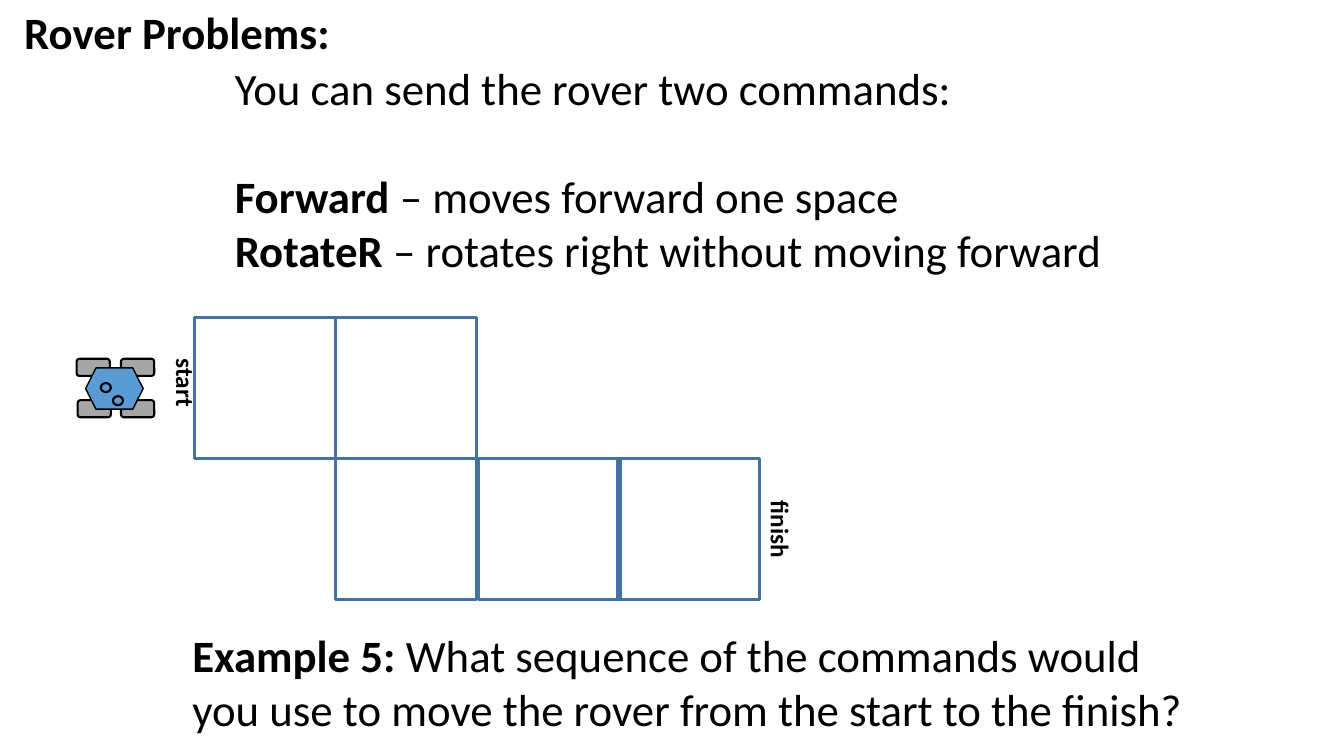
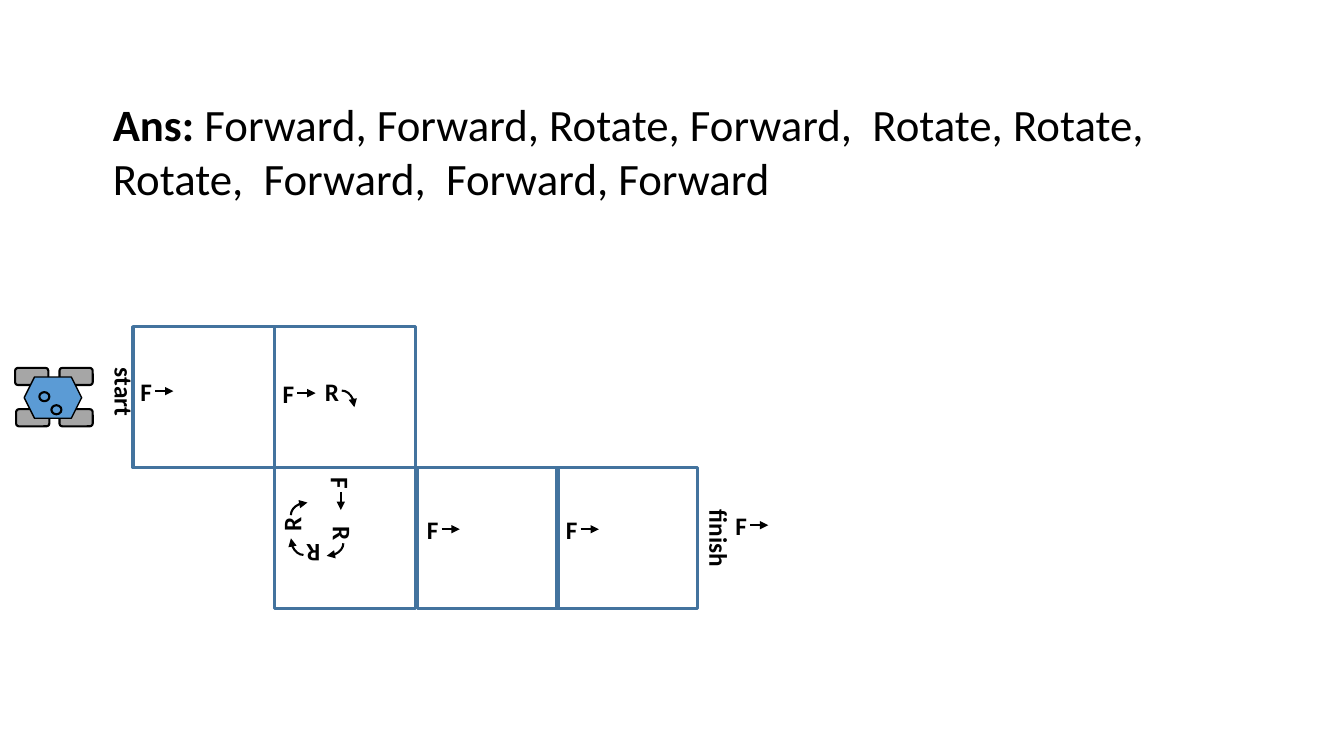
from dataclasses import dataclass

from lxml import etree
from pptx import Presentation
from pptx.dml.color import RGBColor
from pptx.enum.shapes import MSO_CONNECTOR, MSO_SHAPE
from pptx.enum.text import MSO_ANCHOR, MSO_AUTO_SIZE, PP_ALIGN
from pptx.oxml.ns import qn
from pptx.util import Emu, Pt

PX = 9144  # 100 px to the inch
TITLE_ONLY, BLANK = 5, 6
RECT, ROUND_RECT = MSO_SHAPE.RECTANGLE, MSO_SHAPE.ROUNDED_RECTANGLE
HEXAGON, OVAL, ARC = MSO_SHAPE.HEXAGON, MSO_SHAPE.OVAL, MSO_SHAPE.ARC
STRAIGHT = MSO_CONNECTOR.STRAIGHT
TOP, LEFT = MSO_ANCHOR.TOP, PP_ALIGN.LEFT
NO_AUTOSIZE = MSO_AUTO_SIZE.NONE


@dataclass(frozen=True)
class Theme:
    font: str = "Calibri"
    ink: RGBColor = RGBColor(0x00, 0x00, 0x00)
    grid: RGBColor = RGBColor(0x43, 0x73, 0x9E)
    body: RGBColor = RGBColor(0x5B, 0x9B, 0xD5)
    wheel: RGBColor = RGBColor(0xA6, 0xA6, 0xA6)
    large: int = 32
    label: int = 18
    grid_line: float = 2.25
    line: float = 1.5
    thin_line: float = 1


THEME = Theme()

CELL = 140
COLUMN_LEFTS = (0, 140, 282, 420)
COURSE_CELLS = ((0, 0), (1, 0), (2, 1), (1, 1), (3, 1))  # column, row

# Centre of each letter and its clockwise quarter turns
FORWARD_STEPS = ((146, 388, 0), (287, 390, 0), (338, 480, 1),
                 (430, 525, 0), (568, 525, 0), (736, 521, 0))
ROTATE_STEPS = ((329, 388, 0), (340, 529, 1), (311, 550, 2), (289, 521, 3))


def px(*lengths):
    return [Emu(round(length * PX)) for length in lengths]


def turned(dx, dy, quarters):
    """Turn an offset clockwise by quarter turns."""
    for _ in range(quarters):
        dx, dy = -dy, dx
    return dx, dy


def style_run(run, size, bold):
    run.font.name = THEME.font
    run.font.size = Pt(size)
    run.font.bold = bold
    run.font.color.rgb = THEME.ink


def add_text(slide, box, paragraphs, size=THEME.large, rotation=0):
    """Add a text box; each paragraph is a (bold lead, plain rest) pair."""
    text_box = slide.shapes.add_textbox(*px(*box))
    text_box.rotation = rotation
    frame = text_box.text_frame
    frame.word_wrap = True
    for index, parts in enumerate(paragraphs):
        paragraph = frame.paragraphs[0] if index == 0 else frame.add_paragraph()
        for part, bold in zip(parts, (True, False)):
            if part:
                run = paragraph.add_run()
                run.text = part
                style_run(run, size, bold)
    return frame


def add_label(slide, center, size, text, rotation):
    (cx, cy), (width, height) = center, size
    box = (cx - width / 2, cy - height / 2, width, height)
    add_text(slide, box, [(text, "")], THEME.label, rotation)


def set_title(slide, box, text):
    title = slide.shapes.title
    title.left, title.top, title.width, title.height = px(*box)
    frame = title.text_frame
    frame.text = text
    frame.auto_size = NO_AUTOSIZE
    frame.vertical_anchor = TOP
    frame.paragraphs[0].alignment = LEFT
    style_run(frame.paragraphs[0].runs[0], THEME.large, True)


def style_line(line, color, width):
    line.color.rgb = color
    line.width = Pt(width)


def add_arrowhead(line_owner):
    outline = line_owner.line._get_or_add_ln()
    etree.SubElement(outline, qn("a:tailEnd"), type="triangle")


def add_figure(slide, kind, box, fill=None, outline=THEME.ink, width=THEME.line):
    figure = slide.shapes.add_shape(kind, *px(*box))
    figure.shadow.inherit = False
    if fill is None:
        figure.fill.background()
    else:
        figure.fill.solid()
        figure.fill.fore_color.rgb = fill
    style_line(figure.line, outline, width)
    return figure


def add_rover(slide, left, top):
    for wheel_left, wheel_top in ((0, 0), (1, 41), (44, 41), (44, 0)):
        box = (left + wheel_left, top + wheel_top, 33, 17)
        add_figure(slide, ROUND_RECT, box, THEME.wheel)
    add_figure(slide, HEXAGON, (left + 9, top + 9, 57, 41), THEME.body,
               width=THEME.thin_line)
    for eye_left, eye_top in ((24, 24), (36, 37)):
        add_figure(slide, OVAL, (left + eye_left, top + eye_top, 10, 9), THEME.body)


def add_course(slide, left, top):
    """Draw the squares, the waiting rover and the two end labels."""
    for column, row in COURSE_CELLS:
        box = (left + COLUMN_LEFTS[column], top + row * CELL, CELL, CELL)
        add_figure(slide, RECT, box, outline=THEME.grid, width=THEME.grid_line)
    add_rover(slide, left - 117, top + 41)
    add_label(slide, (left - 9, top + 79), (96, 41), "start", 90)
    add_label(slide, (left + 581, top + 220), (96, 41), "finish", 90)


def add_forward_step(slide, cx, cy, quarters):
    start_x, start_y = turned(8, 0, quarters)
    end_x, end_y = turned(26, 0, quarters)
    arrow = slide.shapes.add_connector(
        STRAIGHT, *px(cx + start_x, cy + start_y, cx + end_x, cy + end_y))
    style_line(arrow.line, THEME.ink, THEME.line)
    add_arrowhead(arrow)
    etree.SubElement(arrow._element.spPr, qn("a:effectLst"))
    add_label(slide, (cx, cy), (33, 40), "F", 90 * quarters)


def add_rotate_step(slide, cx, cy, quarters):
    add_label(slide, (cx, cy), (33, 40), "R", 90 * quarters)
    dx, dy = turned(10, 16, quarters)
    width, height = 25, 33
    box = (cx + dx - width / 2, cy + dy - height / 2, width, height)
    curve = add_figure(slide, ARC, box)
    curve.rotation = 90 * quarters
    add_arrowhead(curve)


def build_problem(deck):
    slide = deck.slides.add_slide(deck.slide_layouts[TITLE_ONLY])
    set_title(slide, (14, 0, 533, 64), "Rover Problems:")
    add_course(slide, 193, 315)
    commands = add_text(slide, (223, 55, 918, 226), [
        ("", "You can send the rover two commands:"),
        ("Forward", " – moves forward one space"),
        ("RotateR", " – rotates right without moving forward"),
    ])
    commands.paragraphs[1].space_before = Pt(39)
    add_text(slide, (181, 618, 1003, 118), [
        ("Example 5: ", "What sequence of the commands would you use to move "
                        "the rover from the start to the finish?"),
    ])


def build_answer(deck):
    slide = deck.slides.add_slide(deck.slide_layouts[BLANK])
    add_course(slide, 132, 324)
    add_text(slide, (102, 91, 1065, 118), [
        ("Ans: ", "Forward, Forward, Rotate, Forward,  Rotate, Rotate, "
                  "Rotate,  Forward,  Forward, Forward"),
    ])
    for step in FORWARD_STEPS:
        add_forward_step(slide, *step)
    for step in ROTATE_STEPS:
        add_rotate_step(slide, *step)


def main():
    deck = Presentation()
    deck.slide_width, deck.slide_height = px(1333, 750)
    build_problem(deck)
    build_answer(deck)
    deck.save("out.pptx")


if __name__ == "__main__":
    main()
